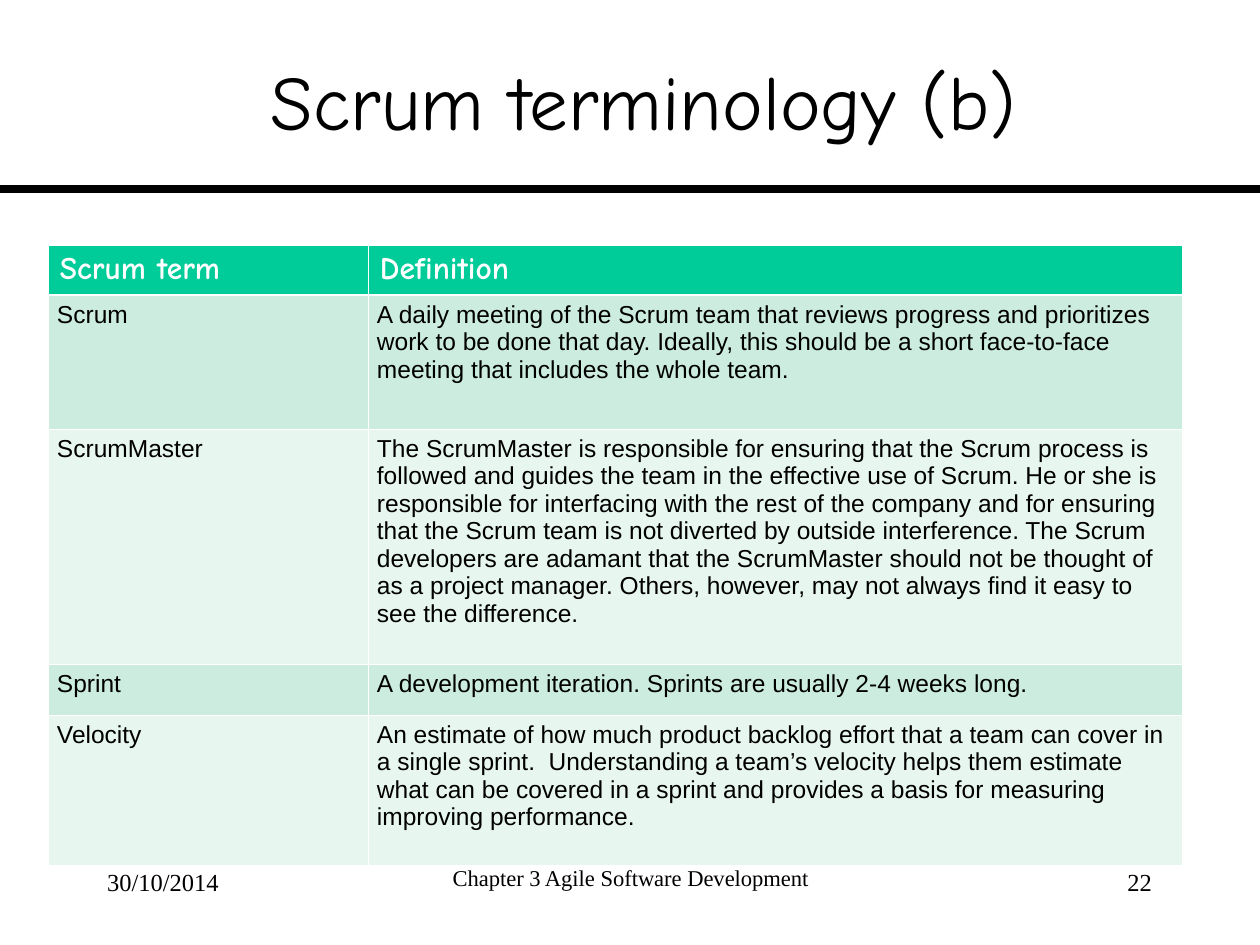
from dataclasses import dataclass

from lxml.etree import SubElement
from pptx import Presentation
from pptx.dml.color import RGBColor as RGB
from pptx.enum.shapes import MSO_CONNECTOR as CONN
from pptx.enum.text import MSO_ANCHOR as ANCHOR, PP_ALIGN as ALIGN
from pptx.oxml.ns import qn
from pptx.util import Emu, Pt


@dataclass(frozen=True)
class Theme:
    ink: str = "000000"
    white: str = "FFFFFF"
    header: str = "00CC99"
    bands: tuple = ("CBECDE", "E7F6EF")
    display: str = "Comic Neue"
    body: str = "Arial"
    footer: str = "Times New Roman"
    title_size: float = 44
    header_size: float = 18
    body_size: float = 14
    chapter_size: float = 12.9
    rule_width: float = 4.5
    border: float = 0.45
    header_border: float = 1.47


THEME = Theme()
PX = 914400 // 126
SLIDE_W, SLIDE_H = 1260, 945
COL_WIDTHS = (320, 814)
ROW_HEIGHTS = (50, 134, 235, 51, 150)
ROWS = (
    ("Scrum term", "Definition"),
    ("Scrum",
     "A daily meeting of the Scrum team that reviews progress and prioritizes "
     "work to be done that day. Ideally, this should be a short face-to-face "
     "meeting that includes the whole team."),
    ("ScrumMaster",
     "The ScrumMaster is responsible for ensuring that the Scrum process is "
     "followed and guides the team in the effective use of Scrum. He or she is "
     "responsible for interfacing with the rest of the company and for ensuring "
     "that the Scrum team is not diverted by outside interference. The Scrum "
     "developers are adamant that the ScrumMaster should not be thought of as a "
     "project manager. Others, however, may not always find it easy to see the "
     "difference."),
    ("Sprint", "A development iteration. Sprints are usually 2-4 weeks long."),
    ("Velocity",
     "An estimate of how much product backlog effort that a team can cover in a "
     "single sprint.  Understanding a team’s velocity helps them estimate what "
     "can be covered in a sprint and provides a basis for measuring improving "
     "performance."),
)


def px(*values):
    return [Emu(v * PX) for v in values]


def set_margins(target, side, end):
    target.margin_left = target.margin_right = Emu(side * PX)
    target.margin_top = target.margin_bottom = Emu(end * PX)


def write(tf, text, font, size, color=THEME.ink, align=ALIGN.LEFT, bold=False):
    p = tf.paragraphs[0]
    p.text = text
    p.alignment = align
    p.font.name = font
    p.font.size = Pt(size)
    p.font.bold = bold
    p.font.color.rgb = RGB.from_string(color)
    return p


def add_title(s, text):
    sp = s.shapes.title
    sp.left, sp.top, sp.width, sp.height = px(53, 21, 1182, 158)
    tf = sp.text_frame
    tf.word_wrap = True
    tf.vertical_anchor = ANCHOR.MIDDLE
    set_margins(tf, 0, 6)
    write(tf, text, THEME.display, THEME.title_size, align=ALIGN.CENTER)


def add_rule(s, y):
    line = s.shapes.add_connector(CONN.STRAIGHT, *px(0, y, SLIDE_W, y))
    line.line.color.rgb = RGB.from_string(THEME.ink)
    line.line.width = Pt(THEME.rule_width)
    SubElement(line._element.spPr, qn("a:effectLst"))


def set_borders(cell, widths):
    tc_pr = cell._tc.get_or_add_tcPr()
    for side, width in zip("LRTB", widths):
        ln = SubElement(tc_pr, qn(f"a:ln{side}"), w=str(Pt(width)))
        fill = SubElement(ln, qn("a:solidFill"))
        SubElement(fill, qn("a:srgbClr"), val=THEME.white)


def format_cell(cell, text, row):
    thin, thick = THEME.border, THEME.header_border
    top = thick if row == 1 else thin
    bottom = thick if row == 0 else thin
    set_borders(cell, (thin, thin, top, bottom))
    cell.fill.solid()
    if row == 0:
        cell.fill.fore_color.rgb = RGB.from_string(THEME.header)
        set_margins(cell, 12, 6)
        write(cell.text_frame, text, THEME.display, THEME.header_size,
              THEME.white, bold=True)
    else:
        cell.fill.fore_color.rgb = RGB.from_string(THEME.bands[(row - 1) % 2])
        set_margins(cell, 9, 6)
        write(cell.text_frame, text, THEME.body, THEME.body_size)


def add_terms_table(s, left, top):
    table = s.shapes.add_table(
        len(ROWS), len(COL_WIDTHS),
        *px(left, top, sum(COL_WIDTHS), sum(ROW_HEIGHTS))).table
    for column, width in zip(table.columns, px(*COL_WIDTHS)):
        column.width = width
    for row, height in zip(table.rows, px(*ROW_HEIGHTS)):
        row.height = height
    for r, texts in enumerate(ROWS):
        for c, text in enumerate(texts):
            format_cell(table.cell(r, c), text, r)


def add_footer(s, left, width, text, size, align):
    tf = s.shapes.add_textbox(*px(left, 861, width, 63)).text_frame
    tf.word_wrap = True
    set_margins(tf, 13, 6)
    return write(tf, text, THEME.footer, size, align=align)


def main():
    prs = Presentation()
    prs.slide_width, prs.slide_height = px(SLIDE_W, SLIDE_H)
    s = prs.slides.add_slide(prs.slide_layouts[5])
    add_rule(s, 189)
    add_title(s, "Scrum terminology (b)")
    add_terms_table(s, 48, 245)
    chapter = add_footer(s, 431, 399, "Chapter 3 Agile Software Development",
                         THEME.chapter_size, ALIGN.CENTER)
    chapter.line_spacing = 0.9
    add_footer(s, 903, 262, "22", THEME.body_size, ALIGN.RIGHT)
    add_footer(s, 94, 262, "30/10/2014", THEME.body_size, ALIGN.LEFT)
    prs.save("out.pptx")


if __name__ == "__main__":
    main()
